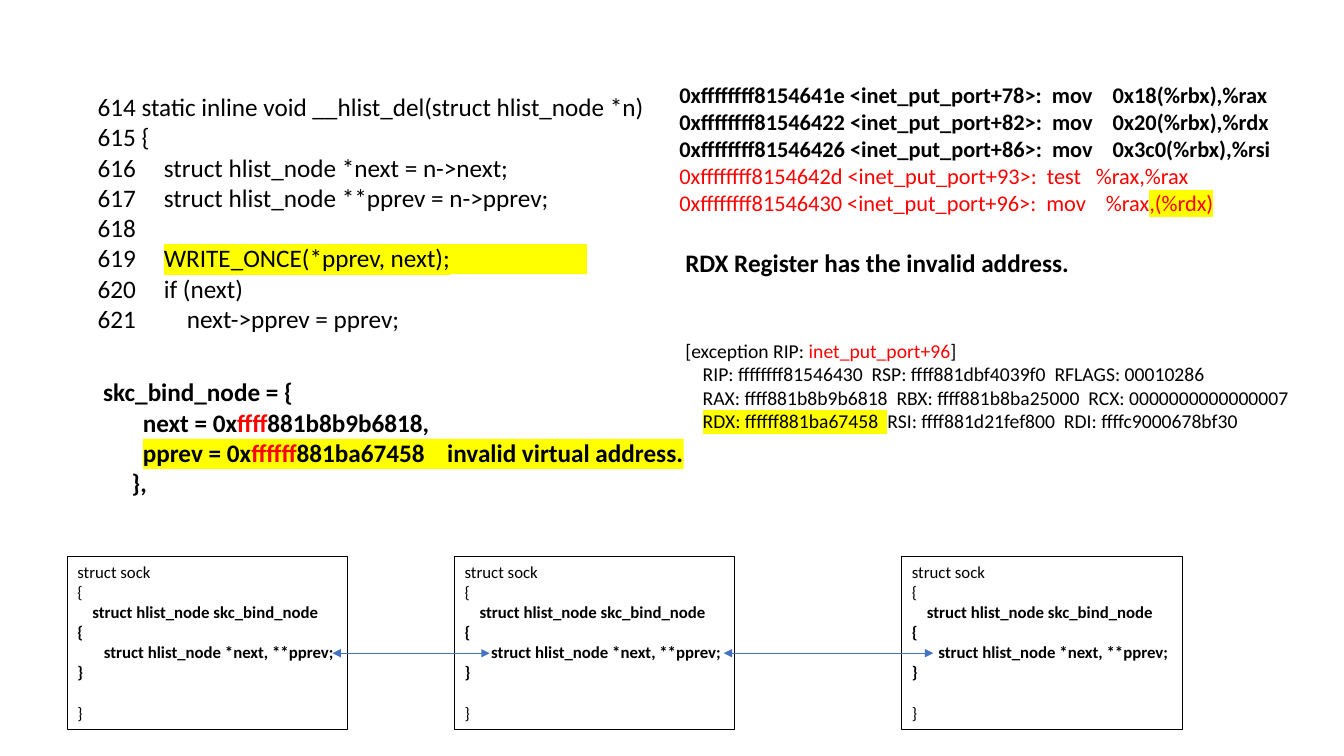
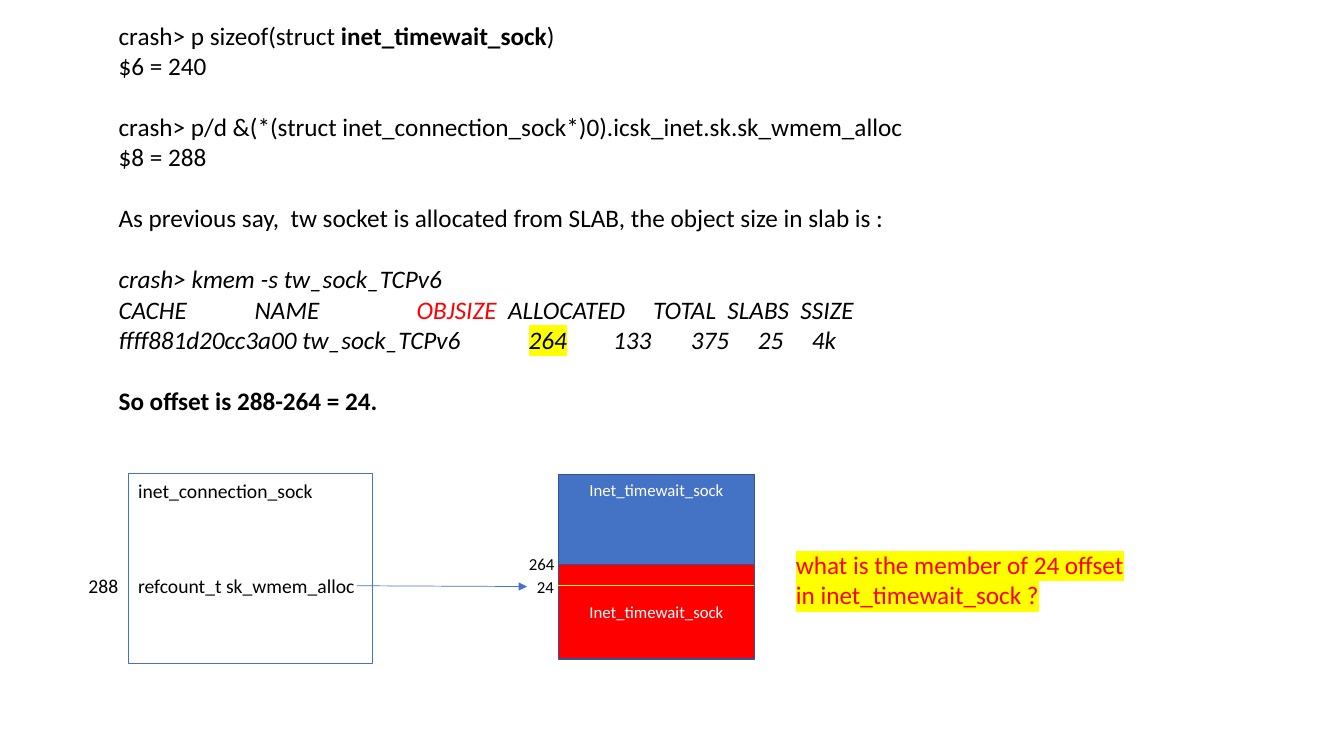
"""Build two slides on a kernel socket crash: invalid address and slab offset."""
from dataclasses import dataclass
from typing import Optional, Union

from lxml.etree import SubElement as Sub
from pptx import Presentation
from pptx.dml.color import RGBColor
from pptx.enum.shapes import MSO_CONNECTOR as Con, MSO_SHAPE as Shp
from pptx.enum.text import MSO_ANCHOR as Anchor, PP_ALIGN as Align
from pptx.oxml.ns import qn
from pptx.slide import Slide
from pptx.util import Cm, Pt

FONT = "Calibri"
BLACK, WHITE, RED, YELLOW = "000000", "FFFFFF", "FF0000", "FFFF00"
BLUE, NAVY = "4472C4", "325491"
LINE_HEIGHT = 1.22


@dataclass(frozen=True)
class Run:
    """A piece of text; None means the format of its box."""
    text: str
    color: Optional[str] = None
    mark: Optional[str] = None
    bold: Optional[bool] = None
    italic: Optional[bool] = None


@dataclass(frozen=True)
class Line:
    """A paragraph; indent and tabs are in cm, gap in text lines above."""
    runs: tuple[Union[Run, str], ...]
    indent: float = 0
    gap: int = 0
    tabs: tuple[float, ...] = ()


@dataclass(frozen=True)
class Box:
    """A text box, or a rectangle when it has a fill or an outline."""
    left: float
    top: float
    width: float
    height: float
    lines: tuple[Line, ...] = ()
    size: float = 18
    color: str = BLACK
    bold: bool = False
    fill: Optional[str] = None
    outline: Optional[str] = None
    weight: float = 0.75
    align: Align = Align.LEFT
    anchor: Anchor = Anchor.TOP


@dataclass(frozen=True)
class Link:
    """A straight line with optional arrowheads."""
    x1: float
    y1: float
    x2: float
    y2: float
    color: str = BLUE
    ends: tuple[str, ...] = ()


def rgb(value: str) -> RGBColor:
    """Turn a hex string into a colour."""
    return RGBColor.from_string(value)


def ln(*runs: Union[Run, str], **fmt) -> Line:
    """Make a line from runs and plain strings."""
    return Line(runs, **fmt)


def set_all(obj, values: dict) -> None:
    """Set every attribute named in values."""
    for name, value in values.items():
        setattr(obj, name, value)


def add_run(p, run: Union[Run, str], box: Box) -> None:
    """Add a formatted run to a paragraph."""
    run = Run(run) if isinstance(run, str) else run
    r = p.add_run()
    r.text = run.text
    bold = box.bold if run.bold is None else run.bold
    set_all(r.font, {"name": FONT, "size": Pt(box.size), "bold": bold, "italic": run.italic})
    r.font.color.rgb = rgb(run.color or box.color)
    if run.mark:
        rpr = r.font._element
        mark = Sub(rpr, qn("a:highlight"))
        Sub(mark, qn("a:srgbClr"), val=run.mark)
        rpr.find(qn("a:solidFill")).addnext(mark)


def add_line(p, line: Line, box: Box) -> None:
    """Fill a paragraph with its spacing, indent, tabs and runs."""
    set_all(p, {"alignment": box.align, "space_before": Pt(round(line.gap * box.size * LINE_HEIGHT, 1))})
    ppr = p._p.get_or_add_pPr()
    if line.indent:
        ppr.set("marL", str(Cm(line.indent)))
    if line.tabs:
        stops = Sub(ppr, qn("a:tabLst"))
        for tab in line.tabs:
            Sub(stops, qn("a:tab"), pos=str(Cm(tab)), algn="l")
    for run in line.runs:
        add_run(p, run, box)


def add_box(s: Slide, box: Box) -> None:
    """Draw a box and its text."""
    place = [Cm(v) for v in (box.left, box.top, box.width, box.height)]
    if box.fill or box.outline:
        sp = s.shapes.add_shape(Shp.RECTANGLE, *place)
        sp.shadow.inherit = False
        for part, color in ((sp.fill, box.fill), (sp.line.fill, box.outline)):
            if color:
                part.solid()
                part.fore_color.rgb = rgb(color)
            else:
                part.background()
        if box.outline:
            sp.line.width = Pt(box.weight)
    else:
        sp = s.shapes.add_textbox(*place)
    tf = sp.text_frame
    set_all(tf, {"word_wrap": True, "vertical_anchor": box.anchor})
    for i, line in enumerate(box.lines):
        add_line(tf.add_paragraph() if i else tf.paragraphs[0], line, box)


def add_link(s: Slide, link: Link) -> None:
    """Draw a line with its arrowheads."""
    ends = [Cm(v) for v in (link.x1, link.y1, link.x2, link.y2)]
    c = s.shapes.add_connector(Con.STRAIGHT, *ends)
    c.line.color.rgb = rgb(link.color)
    c.line.width = Pt(0.5)
    for end in link.ends:
        Sub(c.line._get_or_add_ln(), qn(f"a:{end}"), type="triangle")
    Sub(c._element.spPr, qn("a:effectLst"))


def asm(address: str, offset: int, op: str, args: str, tab: float, *more: Run, **fmt) -> Line:
    """Make one line of disassembly."""
    text = f"0xffffffff{address} <inet_put_port+{offset}>:  {op}\t{args}"
    return ln(Run(text, **fmt), *more, tabs=(tab,))


def struct_box(left: float) -> Box:
    """Make one socket structure of the linked list."""
    return Box(left, 14.02, 7.06, 4.37, (
        ln("struct sock"),
        ln("{"),
        ln(Run("struct hlist_node skc_bind_node", bold=True), indent=0.38),
        ln(Run("{", bold=True)),
        ln(Run("struct hlist_node *next, **pprev;", bold=True), indent=0.67),
        ln(Run("}", bold=True)),
        ln("}", gap=1),
    ), size=12, outline=BLACK)


CODE_TABS = (1.67,)
PLAIN_RED = {"color": RED, "bold": False}

ADDRESS_ITEMS = (
    Box(4.13, 6.15, 10.66, 0.76, fill=YELLOW),
    Box(3.6, 11.06, 13.63, 0.76, fill=YELLOW),
    Box(2.21, 2.18, 16.94, 6.4, (
        ln("614 static inline void __hlist_del(struct hlist_node *n)"),
        ln("615 {"),
        ln("616\tstruct hlist_node *next = n->next;", tabs=CODE_TABS),
        ln("617\tstruct hlist_node **pprev = n->pprev;", tabs=CODE_TABS),
        ln("618"),
        ln("619\t", Run("WRITE_ONCE(*pprev, next);", mark=YELLOW), tabs=CODE_TABS),
        ln("620\tif (next)", tabs=CODE_TABS),
        ln("621\tnext->pprev = pprev;", tabs=(2.25,)),
    )),
    Box(16.87, 1.93, 16.94, 3.68, (
        asm("8154641e", 78, "mov", "0x18(%rbx),%rax", 10.92),
        asm("81546422", 82, "mov", "0x20(%rbx),%rdx", 10.92),
        asm("81546426", 86, "mov", "0x3c0(%rbx),%rsi", 10.92),
        asm("8154642d", 93, "test", "%rax,%rax", 10.5, **PLAIN_RED),
        asm("81546430", 96, "mov", "%rax", 10.75,
            Run(",(%rdx)", mark=YELLOW, **PLAIN_RED), **PLAIN_RED),
    ), size=16, bold=True),
    *(struct_box(left) for left in (1.7, 11.46, 22.73)),
    *(Link(x1, 16.46, x2, 16.46, ends=("headEnd", "tailEnd"))
      for x1, x2 in ((8.38, 12.34), (18.24, 23.52))),
    Box(17.02, 8.41, 16.8, 2.64, (
        ln("[exception RIP: ", Run("inet_put_port+96", RED), "]"),
        ln("RIP: ffffffff81546430  RSP: ffff881dbf4039f0  RFLAGS: 00010286", indent=0.44),
        ln("RAX: ffff881b8b9b6818  RBX: ffff881b8ba25000  RCX: 0000000000000007", indent=0.44),
        ln(Run("RDX: ffffff881ba67458  ", mark=YELLOW),
           "RSI: ffff881d21fef800  RDI: ffffc9000678bf30", indent=0.44),
    ), size=14),
    Box(2.21, 9.37, 16.94, 3.33, (
        ln("skc_bind_node = {", indent=0.14),
        ln("next = 0x", Run("ffff", RED), "881b8b9b6818,", indent=1.14),
        ln("\t", Run("pprev = 0x", mark=YELLOW), Run("ffffff", RED, YELLOW),
           Run("881ba67458", mark=YELLOW), "\t",
           Run("invalid virtual address.", mark=YELLOW), tabs=(1.14, 8.81)),
        ln("},", indent=0.86),
    ), bold=True),
    Box(17.02, 6.12, 10.5, 1.8, (ln("RDX Register has the invalid address."),), bold=True),
)

SLAB = {"size": 12, "color": WHITE, "outline": NAVY, "weight": 1, "align": Align.CENTER}
SLAB_LINES = (ln("Inet_timewait_sock"),)

OFFSET_ITEMS = (
    Box(2.74, 0.38, 27.94, 11.02, (
        ln("crash> p sizeof(struct ", Run("inet_timewait_sock", bold=True), ")"),
        ln("$6 = 240"),
        ln("crash> p/d &(*(struct inet_connection_sock*)0).icsk_inet.sk.sk_wmem_alloc", gap=1),
        ln("$8 = 288"),
        ln("As previous say,  tw socket is allocated from SLAB, the object size in slab is :", gap=1),
        ln(Run("crash> kmem -s tw_sock_TCPv6", italic=True), gap=1),
        ln(Run("CACHE\tNAME\t", italic=True), Run("OBJSIZE", RED, italic=True),
           Run("  ALLOCATED\tTOTAL  SLABS  SSIZE", italic=True), tabs=(3.43, 7.51, 13.47)),
        ln(Run("ffff881d20cc3a00 tw_sock_TCPv6\t", italic=True),
           Run("264", mark=YELLOW, italic=True),
           Run("\t133\t375\t25\t4k", italic=True), tabs=(10.33, 12.46, 14.42, 16.11, 17.47)),
        ln(Run("So offset is 288-264 = 24.", bold=True), gap=1),
    )),
    Box(3.23, 11.94, 6.17, 4.78, (
        ln("inet_connection_sock"),
        ln("refcount_t sk_wmem_alloc", gap=3),
    ), size=14, outline=BLUE),
    Box(1.98, 14.33, 1.5, 0.86, (ln("288"),), size=14),
    Box(14.07, 11.96, 4.95, 2.26, SLAB_LINES, fill=BLUE, **SLAB),
    Box(14.07, 14.22, 4.95, 2.39, SLAB_LINES, fill=RED, anchor=Anchor.MIDDLE, **SLAB),
    Link(14.07, 14.76, 19, 14.76, YELLOW),
    Link(8.99, 14.76, 13.28, 14.78, ends=("tailEnd",)),
    Box(13.28, 14.4, 1.3, 0.76, (ln("24"),), size=12),
    Box(13.08, 13.84, 1.3, 0.76, (ln("264"),), size=12),
    Box(19.81, 13.72, 9.27, 1.8, (
        ln(Run("what is the member of 24 offset in inet_timewait_sock ?", mark=YELLOW)),
    ), color=RED),
)


def main() -> None:
    """Build and save the deck."""
    prs = Presentation()
    set_all(prs, {"slide_width": Cm(33.87), "slide_height": Cm(19.05)})
    for items in (ADDRESS_ITEMS, OFFSET_ITEMS):
        s = prs.slides.add_slide(prs.slide_layouts[6])
        for item in items:
            if isinstance(item, Link):
                add_link(s, item)
            else:
                add_box(s, item)
    prs.save("out.pptx")


if __name__ == "__main__":
    main()
